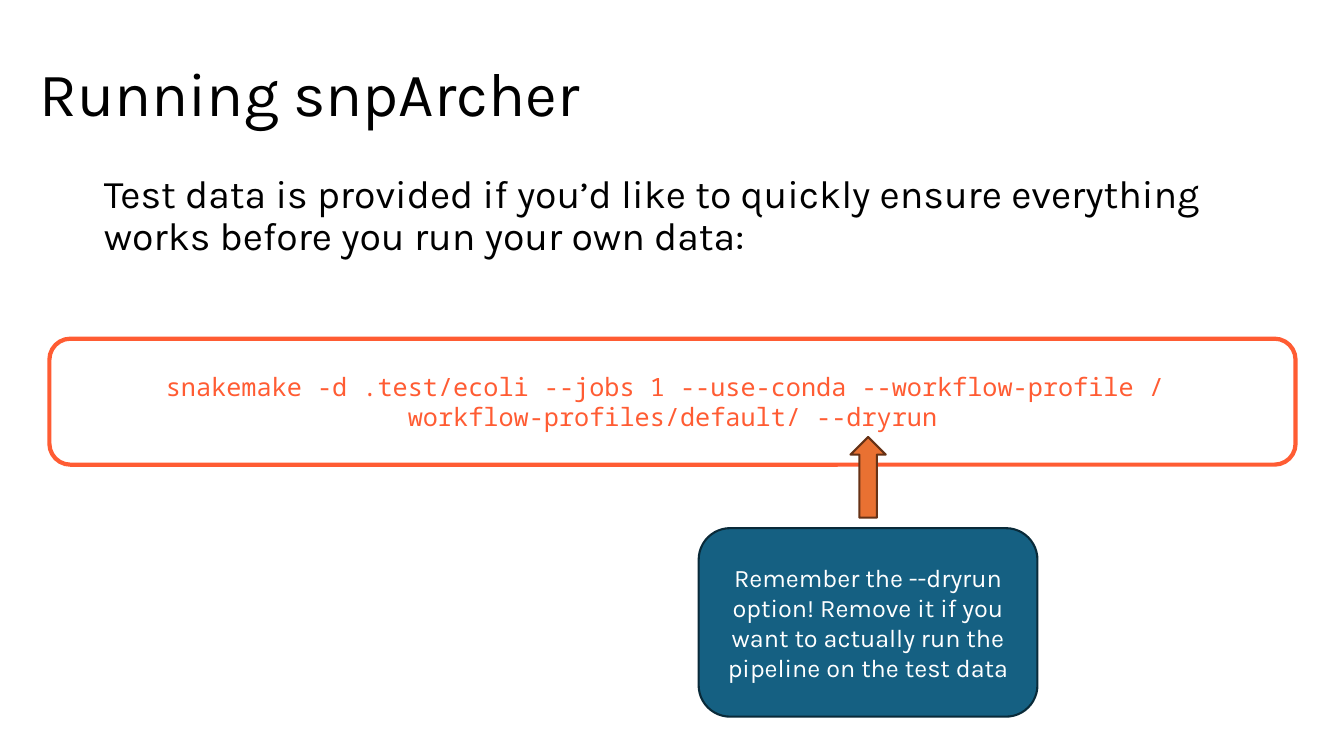
from pptx import Presentation
from pptx.dml.color import RGBColor as Rgb
from pptx.enum.shapes import MSO_SHAPE as Kind
from pptx.enum.text import MSO_ANCHOR as Anchor, MSO_AUTO_SIZE as Fit, PP_ALIGN as Align
from pptx.oxml.ns import qn
from pptx.util import Pt
from lxml import etree

PX = 9144  # 100 px to the inch
INK = {
    "black": "000000", "white": "FFFFFF", "code": "FF5C33",
    "note": "156082", "edge": "092A39", "arrow": "E97132", "rim": "663216",
}


def tint(name):
    return Rgb.from_string(INK[name])


def write(shape, text, size=18, font="Karla", ink="black",
          align=Align.CENTER, anchor=Anchor.MIDDLE, gap=1.0):
    frame = shape.text_frame
    frame.text = text
    frame.word_wrap = True
    frame.auto_size = Fit.NONE
    frame.vertical_anchor = anchor
    for para in frame.paragraphs:
        props = para._p.get_or_add_pPr()
        props.set("marL", "0")
        props.set("indent", "0")
        etree.SubElement(props, qn("a:buNone"))
        para.alignment = align
        para.line_spacing = gap
        para.space_before = Pt(0)
        for run in para.runs:
            run.font.size = Pt(size)
            run.font.name = font
            run.font.color.rgb = tint(ink)


def place(shape, box):
    shape.left, shape.top, shape.width, shape.height = [n * PX for n in box]


def draw(slide, kind, box, line, width, fill=None):
    shape = slide.shapes.add_shape(kind, *[n * PX for n in box])
    shape.shadow.inherit = False
    if fill:
        shape.fill.solid()
        shape.fill.fore_color.rgb = tint(fill)
    else:
        shape.fill.background()
    shape.line.color.rgb = tint(line)
    shape.line.width = Pt(width)
    return shape


def main():
    deck = Presentation()
    deck.slide_width, deck.slide_height = 1333 * PX, 750 * PX
    slide = deck.slides.add_slide(deck.slide_layouts[1])

    # Title and intro
    title, body = slide.placeholders
    place(title, (29, 23, 1150, 145))
    write(title, "Running snpArcher", size=44, align=Align.LEFT, gap=0.9)
    place(body, (93, 168, 1150, 476))
    write(body, "Test data is provided if you’d like to quickly ensure everything "
          "works before you run your own data:",
          size=28, align=Align.LEFT, anchor=Anchor.TOP, gap=0.9)

    # Command
    code = draw(slide, Kind.ROUNDED_RECTANGLE, (49, 336, 1236, 125), "code", 3)
    write(code, "snakemake -d .test/ecoli --jobs 1 --use-conda --workflow-profile / \n"
          "workflow-profiles/default/ --dryrun", font="Noto Sans Mono", ink="code")

    # Reminder, with an arrow up to the option
    note = draw(slide, Kind.ROUNDED_RECTANGLE, (693, 524, 336, 187), "edge", 1.5, "note")
    write(note, "Remember the --dryrun option! Remove it if you want to actually "
          "run the pipeline on the test data", ink="white")
    arrow = draw(slide, Kind.LEFT_ARROW, (821, 456, 80, 35), "rim", 1.5, "arrow")
    arrow.rotation = 90

    deck.save("out.pptx")


if __name__ == "__main__":
    main()
